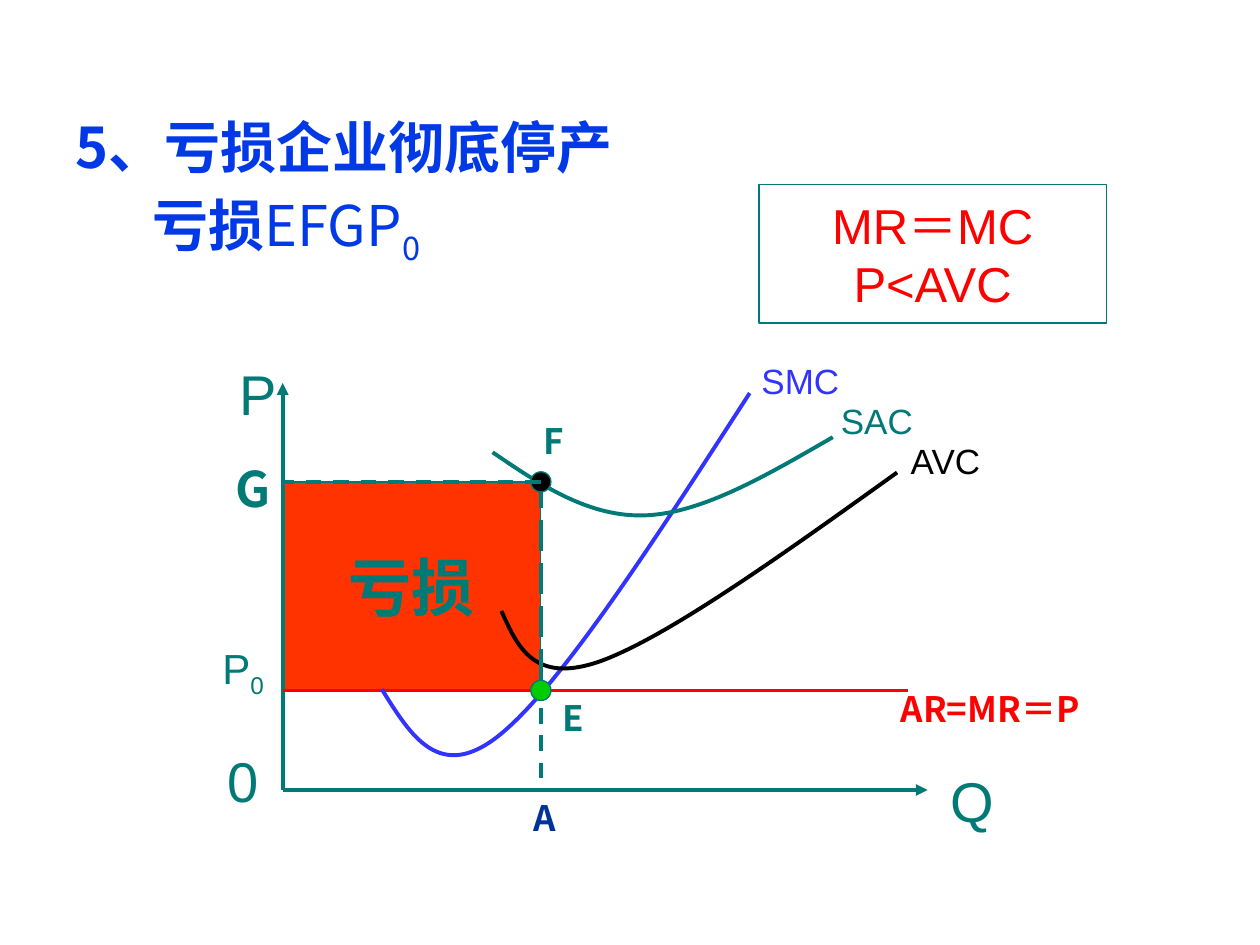
import pptx
import pptx.util
import pptx.dml.color
import pptx.enum.dml
import pptx.enum.shapes
import pptx.enum.text
import pptx.oxml
import pptx.oxml.ns

COLORS = {"teal": "007A77", "blue": "0039E5", "violet": "3333FF", "red": "FF0000",
          "orange": "FF3300", "green": "00CC00", "black": "000000", "navy": "003399"}
SANS, CJK = "Arial", "Noto Sans CJK SC"
NAMESPACE = pptx.oxml.ns.nsdecls("a")
ALIGN = pptx.enum.text.PP_ALIGN
ANCHOR = pptx.enum.text.MSO_ANCHOR
SHAPE = pptx.enum.shapes.MSO_SHAPE
DASH = pptx.enum.dml.MSO_LINE

deck = pptx.Presentation()
deck.slide_width = pptx.util.Inches(10)
deck.slide_height = pptx.util.Inches(7.5)
cell = deck.slide_width / 100
page = deck.slides.add_slide(deck.slide_layouts[5])


def grid(*cells):
    return [round(value * cell) for value in cells]


def style(font, size, name, color, bold=False):
    font.size = pptx.util.Pt(size)
    font.name = name
    font.bold = bold
    font.color.rgb = pptx.dml.color.RGBColor.from_string(COLORS[color])


title = page.shapes.title
title.left, title.top, title.width, title.height = grid(5, 8.4, 90, 17.3)
frame = title.text_frame
frame.word_wrap = True
frame.auto_size = pptx.enum.text.MSO_AUTO_SIZE.NONE
frame.vertical_anchor = ANCHOR.TOP
title_lines = [
    (0, [("5、亏损企业彻底停产", True, None)]),
    (6.1, [("亏损", True, None), ("EFGP", False, None), ("0", False, "-25000")]),
]
for number, (indent, spans) in enumerate(title_lines):
    para = frame.paragraphs[0] if number == 0 else frame.add_paragraph()
    para.alignment = ALIGN.LEFT
    para.space_before = pptx.util.Pt(6.4)
    para._p.get_or_add_pPr().set("marL", str(grid(indent)[0]))
    for text, bold, baseline in spans:
        span = para.add_run()
        span.text = text
        style(span.font, 32, CJK, "blue", bold)
        properties = span._r.get_or_add_rPr()
        properties.append(pptx.oxml.parse_xml(f'<a:ea {NAMESPACE} typeface="{CJK}"/>'))
        if baseline:
            properties.set("baseline", baseline)

left, right, axis_y, axis_top = 22.44, 73.62, 62.7, 30.4
quantity, cost, price, radius = 42.93, 38.25, 54.8, 0.8

boxes = {}
for name, kind, area, fill, lines, text_style in [
    ("loss", SHAPE.RECTANGLE, (left, cost, quantity - left, price - cost), "orange",
     ["亏损"], (36, SANS, "teal", True)),
    ("rule", SHAPE.RECTANGLE, (60.24, 14.65, 27.56, 11), None,
     ["MR＝MC", "P<AVC"], (28, SANS, "red")),
    ("E", SHAPE.OVAL, (quantity - radius, price - radius, 2 * radius, 2 * radius), "green", [], None),
    ("F", SHAPE.OVAL, (quantity - radius, cost - radius, 2 * radius, 2 * radius), "black", [], None),
]:
    box = page.shapes.add_shape(kind, *grid(*area))
    boxes[name] = box
    box.shadow.inherit = False
    box.line.color.rgb = pptx.dml.color.RGBColor.from_string(COLORS["teal"])
    box.line.width = pptx.util.Pt(0.75)
    if fill:
        box.fill.solid()
        box.fill.fore_color.rgb = pptx.dml.color.RGBColor.from_string(COLORS[fill])
    else:
        box.fill.background()
    box.text_frame.word_wrap = False
    box.text_frame.vertical_anchor = ANCHOR.MIDDLE
    for number, text in enumerate(lines):
        para = box.text_frame.paragraphs[0] if number == 0 else box.text_frame.add_paragraph()
        para.text = text
        para.alignment = ALIGN.CENTER
        style(para.font, *text_style)

connectors = {}
for name, start, end, color, dash, joint in [
    ("quantity axis", (left, axis_y), (right, axis_y), "teal", None, None),
    ("price axis", (left, axis_y), (left, axis_top), "teal", None, None),
    ("price line", (left, price), (72.05, price), "red", None, None),
    ("EA", (quantity, price - radius), (quantity, axis_y), "teal", DASH.DASH, None),
    ("EF", (quantity, price - radius), (quantity, cost), "teal", DASH.LONG_DASH, "E"),
    ("FG", (quantity, cost), (left, cost), "teal", DASH.DASH, None),
]:
    line = page.shapes.add_connector(
        pptx.enum.shapes.MSO_CONNECTOR.STRAIGHT, *grid(*start, *end))
    connectors[name] = line
    if joint:
        line.begin_connect(boxes[joint], 0)
    line.line.color.rgb = pptx.dml.color.RGBColor.from_string(COLORS[color])
    line.line.width = pptx.util.Pt(2.25)
    if dash:
        line.line.dash_style = dash
    if name.endswith("axis"):
        line.line._get_or_add_ln().append(pptx.oxml.parse_xml(
            f'<a:tailEnd {NAMESPACE} type="triangle"/>'))
    line._element.spPr.append(pptx.oxml.parse_xml(f'<a:effectLst {NAMESPACE}/>'))

for color, knots in [
    ("violet", [(30.3, 54.7), (32.6, 58.4), (34.9, 62.2), (39.7, 58.3),
                (44.6, 54.3), (52, 42.8), (59.5, 31.2)]),
    ("teal", [(39.1, 35.9), (42.9, 38.5), (46.8, 41.1), (51.3, 40.9),
              (55.8, 40.7), (60.9, 37.7), (66.1, 34.7)]),
    ("black", [(39.8, 48.5), (41.1, 51.4), (42.4, 54.3), (47.6, 52.5),
               (52.9, 50.6), (62, 44.1), (71.2, 37.5)]),
]:
    outline = page.shapes.build_freeform(*grid(*knots[0]))
    outline.add_line_segments([grid(*knot) for knot in knots[1:]], close=False)
    curve = outline.convert_to_shape()
    segments = list(curve._element.iter(pptx.oxml.ns.qn("a:lnTo")))
    for first in (0, 3):
        bend = pptx.oxml.parse_xml(f'<a:cubicBezTo {NAMESPACE}/>')
        segments[first].addprevious(bend)
        for segment in segments[first:first + 3]:
            bend.append(segment[0])
            segment.getparent().remove(segment)
    curve.shadow.inherit = False
    curve.fill.background()
    curve.line.color.rgb = pptx.dml.color.RGBColor.from_string(COLORS[color])
    curve.line.width = pptx.util.Pt(2.25)

for part in (boxes["E"], connectors["EF"], boxes["F"], connectors["FG"]):
    page.shapes._spTree.append(part._element)

for text, area, size, font, color, bold, centred in [
    ("AVC", (71.3, 34.4, 12.6, 4.3), 20, SANS, "black", False, False),
    ("SAC", (65.75, 31.2, 12.6, 4.3), 20, SANS, "teal", False, False),
    ("SMC", (59.45, 28.05, 12.6, 4.3), 20, SANS, "violet", False, False),
    ("AR=MR＝P", (70.5, 54.05, 17.3, 4.3), 20, CJK, "red", True, False),
    ("E", (43.7, 54.8, 4.7, 4.3), 20, CJK, "teal", True, False),
    ("F", (42.15, 32.8, 4.7, 4.3), 20, CJK, "teal", True, False),
    ("G", (17.7, 35.9, 3.9, 5.7), 28, CJK, "teal", True, False),
    ("A", (41.35, 62.7, 3.1, 4.3), 20, CJK, "navy", True, False),
    ("P", (17.7, 28.05, 5.5, 6.3), 32, SANS, "teal", False, True),
    ("P0", (16.95, 50.1, 4.7, 6.3), 24, SANS, "teal", False, True),
    ("0", (16.95, 58.8, 4.7, 6.3), 32, SANS, "teal", False, True),
    ("Q", (75.2, 60.35, 3.9, 6.3), 32, SANS, "teal", False, True),
]:
    label = page.shapes.add_textbox(*grid(*area))
    frame = label.text_frame
    frame.word_wrap = not centred
    frame.vertical_anchor = ANCHOR.MIDDLE if centred else ANCHOR.TOP
    para = frame.paragraphs[0]
    para.alignment = ALIGN.CENTER if centred else ALIGN.LEFT
    style(para.font, size, font, color, bold)
    if centred:
        frame.margin_left = frame.margin_right = 0
    else:
        indent = grid(3.8)[0]
        para._p.get_or_add_pPr().set("marL", str(indent))
        para._p.get_or_add_pPr().set("indent", str(-indent))
    for part in (text if text == "P0" else [text]):
        span = para.add_run()
        span.text = part
        if text == "P0" and part == "0":
            span._r.get_or_add_rPr().set("baseline", "-25000")

deck.save("out.pptx")
